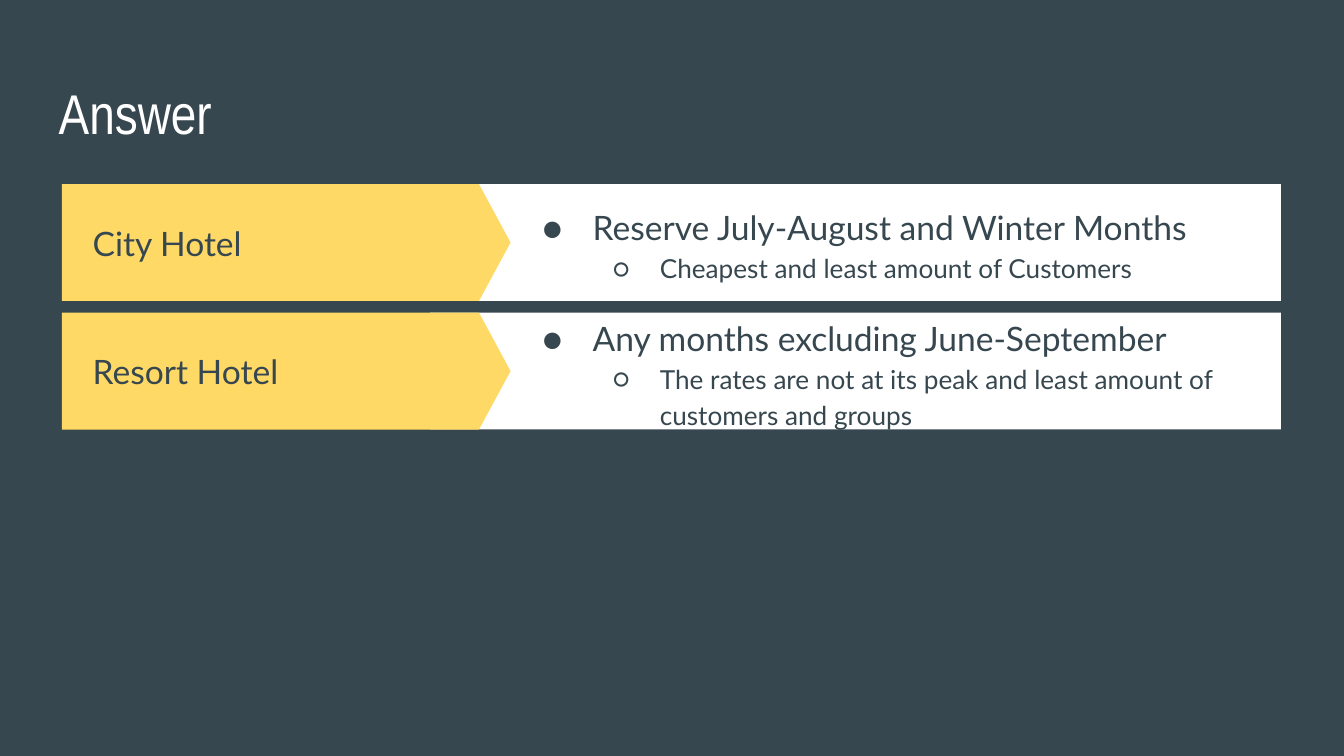
import pptx
import pptx.util
import pptx.dml.color
import pptx.enum.shapes
import pptx.enum.text
import lxml.etree
from pptx.oxml.ns import qn

Cm = pptx.util.Cm
Pt = pptx.util.Pt
Kind = pptx.enum.shapes.MSO_SHAPE
Anchor = pptx.enum.text.MSO_ANCHOR

DARK, WHITE, GOLD = "37474F", "FFFFFF", "FFD966"
TOP, STEP, HIGH = 3.48, 2.43, 2.21


def paint(target, color):
    """Fill a shape, background or font with one solid colour."""
    target.fill.solid()
    target.fill.fore_color.rgb = pptx.dml.color.RGBColor.from_string(color)


def write(holder, box, lines, face, color, anchor):
    """Place a placeholder and fill it with (text, size) lines."""
    holder.left, holder.top, holder.width, holder.height = [Cm(v) for v in box]
    frame = holder.text_frame
    frame.text = "\n".join(text for text, size in lines)
    frame.word_wrap = True
    frame.auto_size = pptx.enum.text.MSO_AUTO_SIZE.NONE
    frame.vertical_anchor = anchor
    frame.margin_left = frame.margin_right = Cm(0.25)
    frame.margin_top = frame.margin_bottom = Cm(0.25)
    for para, (text, size) in zip(frame.paragraphs, lines):
        para.alignment = pptx.enum.text.PP_ALIGN.LEFT
        para.space_before = Pt(0)
        font = para.runs[0].font
        font.name, font.size, font.bold = face, Pt(size), False
        paint(font, color)


deck = pptx.Presentation()
deck.slide_width, deck.slide_height = Cm(25.4), Cm(14.29)
slide = deck.slides.add_slide(deck.slide_layouts.get_by_name("Comparison"))
paint(slide.background, DARK)

title, *holders = slide.placeholders
write(title, (0.86, 1.24, 23.67, 1.6), [("Answer", 30)],
      "Arial Narrow", WHITE, Anchor.TOP)

rows = [
    ("City Hotel", "Reserve July-August and Winter Months",
     "Cheapest and least amount of Customers"),
    ("Resort Hotel", "Any months excluding June-September",
     "The rates are not at its peak and least amount of customers and groups"),
]
# Bullet sign, left margin and hanging indent for each level
bullets = [("●", 1.27, -0.95), ("○", 2.54, -0.89)]

for i, (hotel, advice, reason) in enumerate(rows):
    top = TOP + i * STEP
    label, body = holders[2 * i:2 * i + 2]

    band = slide.shapes.add_group_shape()
    for kind, left, width, color in [(Kind.RECTANGLE, 8.13, 16.08, WHITE),
                                     (Kind.PENTAGON, 1.17, 8.48, GOLD)]:
        part = band.shapes.add_shape(kind, Cm(left), Cm(top), Cm(width), Cm(HIGH))
        part.shadow.inherit = False
        part.line.fill.background()
        paint(part, color)
    part.adjustments[0] = 0.27
    label.element.addprevious(band.element)  # keep the band behind its text

    write(label, (1.5, top, 6.73, HIGH), [(hotel, 18)], "Lato", DARK, Anchor.MIDDLE)
    write(body, (9.68, top, 14.2, HIGH), [(advice, 18), (reason, 14)],
          "Lato", DARK, Anchor.MIDDLE)
    for level, (sign, margin, indent) in enumerate(bullets):
        para = body.text_frame.paragraphs[level]
        para.level = level
        para.line_spacing = 1.15
        props = para._p.get_or_add_pPr()
        props.set("marL", str(Cm(margin)))
        props.set("indent", str(Cm(indent)))
        tint = lxml.etree.SubElement(props, qn("a:buClr"))
        lxml.etree.SubElement(tint, qn("a:srgbClr"), val=DARK)
        lxml.etree.SubElement(props, qn("a:buFont"), typeface="Lato")
        lxml.etree.SubElement(props, qn("a:buChar"), char=sign)

deck.save("out.pptx")
